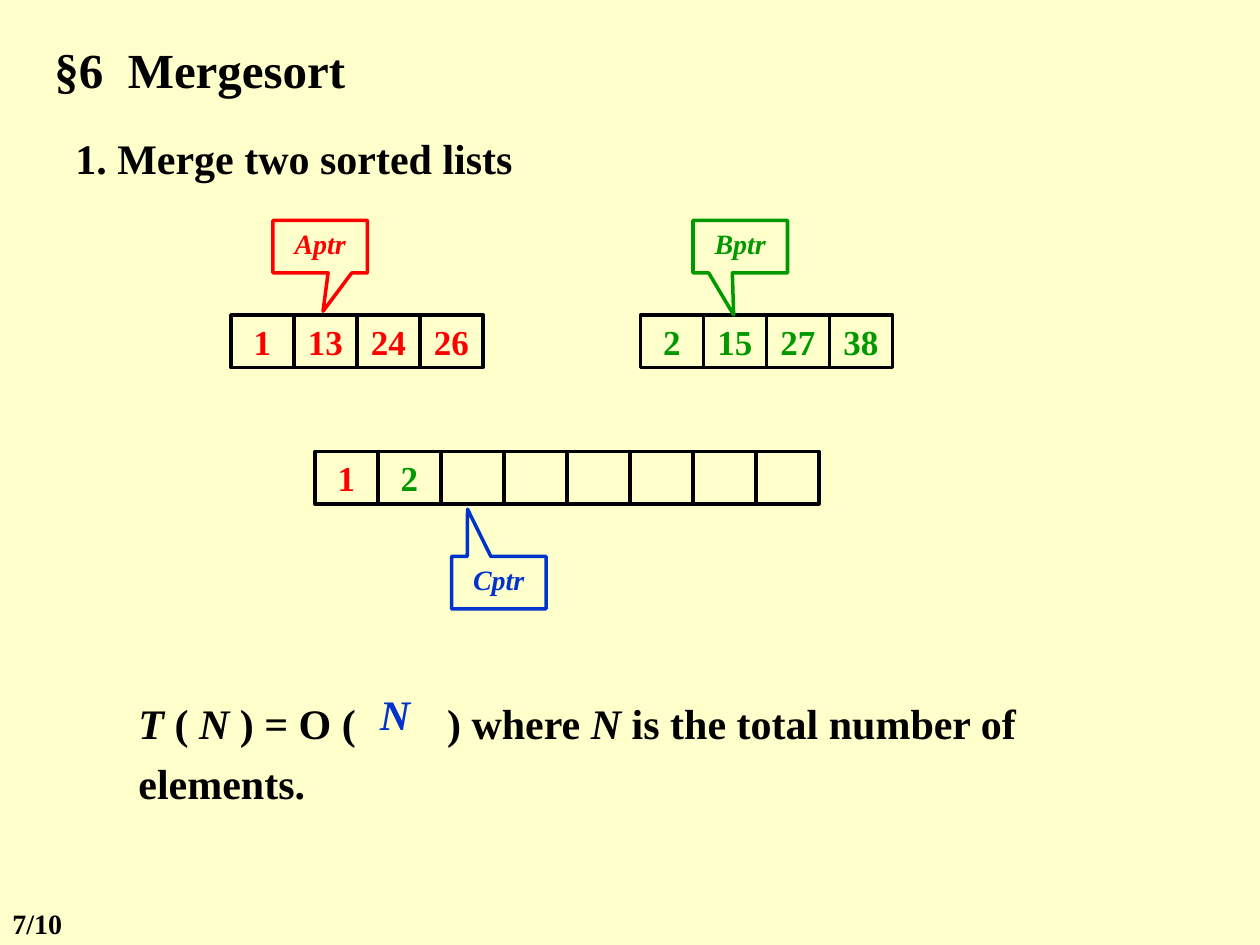
from pptx import Presentation
from pptx.dml.color import RGBColor
from pptx.enum.shapes import MSO_SHAPE
from pptx.enum.text import MSO_ANCHOR, PP_ALIGN
from pptx.oxml.ns import qn
from pptx.util import Pt
from lxml.etree import SubElement

PX = 7620
BLACK, RED, GREEN, BLUE, CREAM = "000000", "FF0000", "009900", "0033CC", "FFFFCC"


def px(*sizes):
    """Turn lengths in px (120 to the inch) into EMU."""
    return [size * PX for size in sizes]


def color(code):
    """Turn a hex string into a colour."""
    return RGBColor.from_string(code)


def style(para, size, code, italic=None):
    """Set the bold serif font of a paragraph."""
    font = para.font
    font.name, font.size, font.bold = "Times New Roman", Pt(size), True
    font.color.rgb = color(code)
    if italic is not None:
        font.italic = italic


def label(slide, box, text, size, code=BLACK, italic=False, wrap=True):
    """Place one line of text in a box."""
    frame = slide.shapes.add_textbox(*px(*box)).text_frame
    frame.word_wrap = wrap
    para = frame.paragraphs[0]
    para.text = text
    style(para, size, code, italic)


def outline(shapes, kind, box, code):
    """Add an unfilled shape with a plain line."""
    shape = shapes.add_shape(kind, *px(*box))
    shape.shadow.inherit = False
    shape.fill.background()
    shape.line.color.rgb = color(code)
    shape.line.width = Pt(2)
    return shape


def array(slide, box, items):
    """Draw a grouped row of equal cells from (text, colour) pairs."""
    left, top, width, height = box
    group = slide.shapes.add_group_shape()
    step = width // len(items)
    for i, (text, code) in enumerate(items):
        cell = outline(group.shapes, MSO_SHAPE.RECTANGLE,
                       (left + i * step, top, step, height), BLACK)
        frame = cell.text_frame
        frame.word_wrap = False
        frame.vertical_anchor = MSO_ANCHOR.MIDDLE
        para = frame.paragraphs[0]
        para.text = text
        para.alignment = PP_ALIGN.CENTER
        style(para, 20, code)


def pointer(slide, box, name, code, tip):
    """Draw a callout whose tip is given as fractions of its size."""
    shape = outline(slide.shapes, MSO_SHAPE.RECTANGULAR_CALLOUT, box, code)
    shape.adjustments[0], shape.adjustments[1] = tip
    frame = shape.text_frame
    frame.word_wrap = True
    frame.vertical_anchor = MSO_ANCHOR.TOP
    frame.margin_left = frame.margin_right = 2 * PX
    para = frame.paragraphs[0]
    para.text = name
    para.alignment = PP_ALIGN.CENTER
    style(para, 16, code, True)


def formula(slide, box):
    """Write the running time, with a tabbed gap holding the bound."""
    left, top, width, height = box
    frame = slide.shapes.add_textbox(*px(*box)).text_frame
    frame.word_wrap = True
    para = frame.paragraphs[0]
    para.line_spacing = 1.18
    style(para, 24, BLACK)
    parts = ["T ", "( ", "N ", ") = O (\t) where ", "N",
             " is the total number of elements."]
    for i, text in enumerate(parts):
        run = para.add_run()
        run.text = text
        run.font.italic = i % 2 == 0
    tabs = SubElement(para._p.get_or_add_pPr(), qn("a:tabLst"))
    SubElement(tabs, qn("a:tab"), pos=str(294 * PX), algn="l")
    para._p.pPr.find(qn("a:defRPr")).addprevious(tabs)
    label(slide, (left + 230, top, 53, 60), "N", 24, BLUE, True, False)


def merge(slide, box):
    """Draw both sorted lists, the merged list and their pointers."""
    left, top, width, height = box
    first = [(n, RED) for n in ("1", "13", "24", "26")]
    second = [(n, GREEN) for n in ("2", "15", "27", "38")]
    merged = [first[0], second[0]] + [("", BLACK)] * 6
    array(slide, (left, top + 90, 240, 50), first)
    array(slide, (left + width - 240, top + 90, 240, 50), second)
    array(slide, (left + 80, top + 220, 480, 50), merged)
    for x, y, name, code, tip in (
            (40, 0, "Aptr", RED, (0.03, 1.23)),
            (440, 0, "Bptr", GREEN, (-0.07, 1.3)),
            (210, 320, "Cptr", BLUE, (-0.33, -1.4))):
        pointer(slide, (left + x, top + y, 90, 50), name, code, tip)


def main():
    """Build the slide and save it."""
    deck = Presentation()
    deck.slide_width, deck.slide_height = px(1200, 900)
    slide = deck.slides.add_slide(deck.slide_layouts[6])
    fill = slide.background.fill
    fill.solid()
    fill.fore_color.rgb = color(CREAM)
    label(slide, (40, 32, 380, 68), "§6  Mergesort", 28)
    label(slide, (60, 120, 470, 60), "1. Merge two sorted lists", 24)
    merge(slide, (220, 210, 630, 370))
    formula(slide, (120, 650, 930, 108))
    label(slide, (0, 857, 100, 44), "7/10", 16)
    deck.save("out.pptx")


if __name__ == "__main__":
    main()
